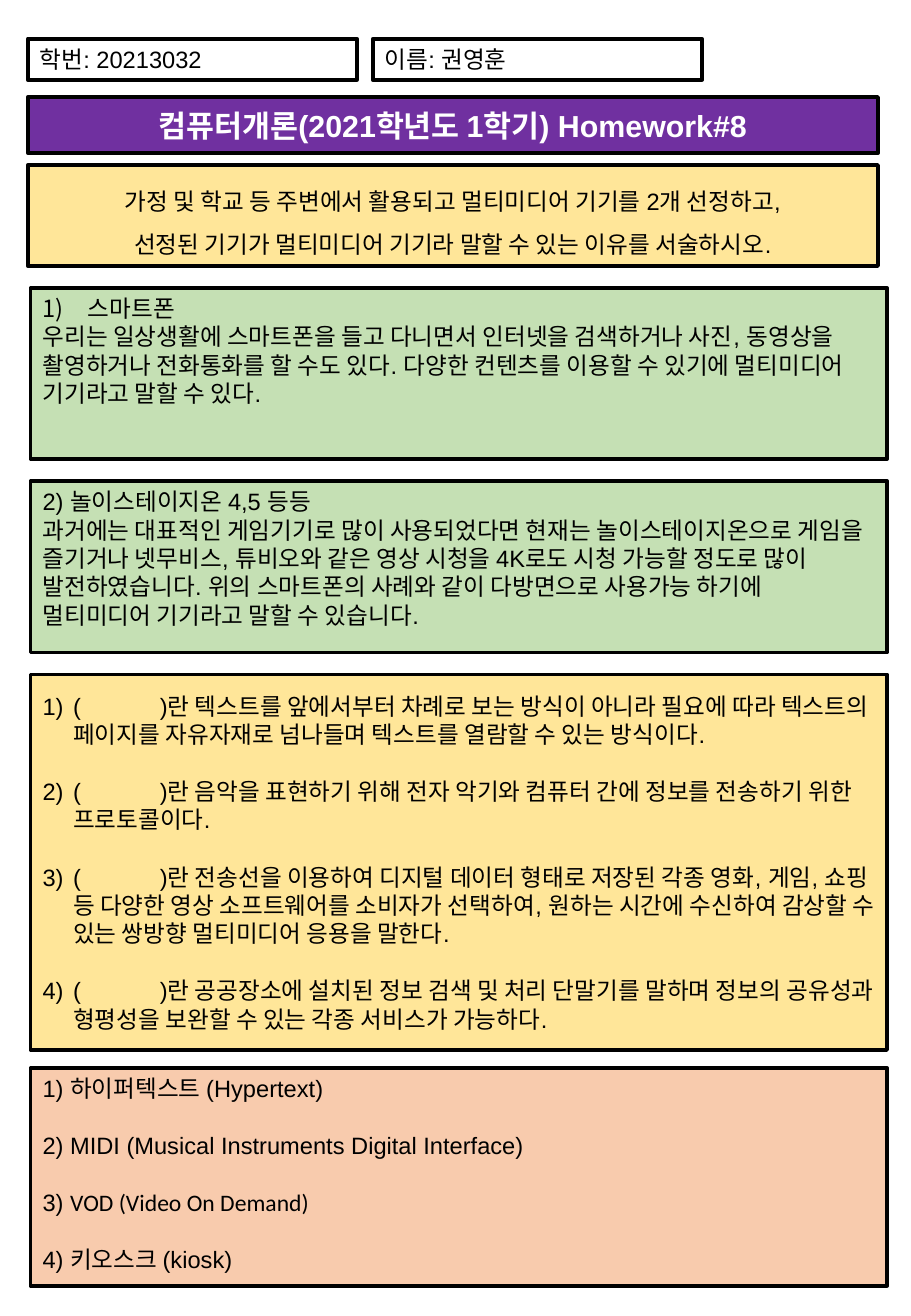
from dataclasses import dataclass

import pptx
import pptx.dml.color
import pptx.enum.shapes
import pptx.enum.text
import pptx.oxml.ns
import pptx.util
from lxml import etree

Cm, Pt = pptx.util.Cm, pptx.util.Pt
ALIGN = pptx.enum.text.PP_ALIGN
ANCHOR = pptx.enum.text.MSO_ANCHOR


@dataclass(frozen=True)
class Theme:
    ink: str = "000000"
    paper: str = "FFFFFF"
    banner: str = "7030A0"
    question: str = "FFE699"
    essay: str = "C5E0B4"
    answer: str = "F8CBAD"
    font: str = "Arial"
    alternate_font: str = "Calibri"
    title_size: float = 18
    body_size: float = 14
    border: float = 2.25
    paragraph_gap: float = 17
    blank_width: float = 42.8


THEME = Theme()
BLANK = " "
BREAK = "\n"


def rgb(code):
    return pptx.dml.color.RGBColor.from_string(code)


def number_paragraph(paragraph, indent):
    """Give the paragraph an automatic 1) number with a hanging indent."""
    properties = paragraph._p.get_or_add_pPr()
    properties.set("marL", str(indent))
    properties.set("indent", str(-indent))
    bullet_font = etree.SubElement(properties, pptx.oxml.ns.qn("a:buFont"))
    bullet_font.set("typeface", THEME.font)
    numbering = etree.SubElement(properties, pptx.oxml.ns.qn("a:buAutoNum"))
    numbering.set("type", "arabicParenR")


def write(frame, pieces, *, first=False, size=THEME.body_size, color=THEME.ink,
          bold=False, align=ALIGN.LEFT, number_indent=None, before=0,
          line_spacing=None, fonts=(THEME.font,)):
    """Add one paragraph; a lone space is a fill-in blank, fonts follow the pieces."""
    paragraph = frame.paragraphs[0] if first else frame.add_paragraph()
    if number_indent is not None:
        number_paragraph(paragraph, number_indent)
    paragraph.alignment = align
    if before and not first:
        paragraph.space_before = Pt(before)
    if line_spacing:
        paragraph.line_spacing = line_spacing
    for index, piece in enumerate(pieces):
        if piece == BREAK:
            paragraph.add_line_break()
            continue
        run = paragraph.add_run()
        run.text = piece
        run.font.size = Pt(size)
        run.font.bold = bold
        run.font.name = fonts[min(index, len(fonts) - 1)]
        run.font.color.rgb = rgb(color)
        if piece == BLANK:
            run._r.get_or_add_rPr().set("spc", str(round(THEME.blank_width * 100)))


def style_panel(panel, fill, anchor):
    """Frame and fill the panel, and return its text frame."""
    if fill:
        panel.fill.solid()
        panel.fill.fore_color.rgb = rgb(fill)
    else:
        panel.fill.background()
    panel.line.color.rgb = rgb(THEME.ink)
    panel.line.width = Pt(THEME.border)
    frame = panel.text_frame
    frame.word_wrap = True
    frame.auto_size = pptx.enum.text.MSO_AUTO_SIZE.NONE
    frame.vertical_anchor = anchor
    return frame


def add_panel(slide, box, fill=None, anchor=ANCHOR.TOP):
    panel = slide.shapes.add_shape(pptx.enum.shapes.MSO_SHAPE.RECTANGLE, *box)
    panel.shadow.inherit = False
    return style_panel(panel, fill, anchor)


def add_student(slide, box):
    left, top, width, height = box
    gap = Cm(0.33)
    field_width = (width - gap) // 2
    for column, entry in enumerate(("학번: 20213032", "이름: 권영훈")):
        field = (left + column * (field_width + gap), top, field_width, height)
        write(add_panel(slide, field), [entry], first=True)


def add_banner(slide, box):
    title = slide.shapes.title
    title.left, title.top, title.width, title.height = box
    frame = style_panel(title, THEME.banner, ANCHOR.MIDDLE)
    write(frame, ["컴퓨터개론(2021학년도 1학기) Homework#8"], first=True,
          size=THEME.title_size, color=THEME.paper, bold=True, align=ALIGN.CENTER)


def add_assignment(slide, box):
    frame = add_panel(slide, box, THEME.question, ANCHOR.MIDDLE)
    write(frame, ["가정 및 학교 등 주변에서 활용되고 멀티미디어 기기를 2개 선정하고,", BREAK,
                  "선정된 기기가 멀티미디어 기기라 말할 수 있는 이유를 서술하시오."],
          first=True, align=ALIGN.CENTER, line_spacing=1.5)


def add_essay(slide, box, device, reason, number_indent=None):
    frame = add_panel(slide, box, THEME.essay)
    write(frame, [device], first=True, number_indent=number_indent)
    write(frame, [reason])


def add_questions(slide, box):
    definitions = (
        "텍스트를 앞에서부터 차례로 보는 방식이 아니라 필요에 따라 텍스트의 페이지를 "
        "자유자재로 넘나들며 텍스트를 열람할 수 있는 방식이다.",
        "음악을 표현하기 위해 전자 악기와 컴퓨터 간에 정보를 전송하기 위한 프로토콜이다.",
        "전송선을 이용하여 디지털 데이터 형태로 저장된 각종 영화, 게임, 쇼핑 등 다양한 영상 "
        "소프트웨어를 소비자가 선택하여, 원하는 시간에 수신하여 감상할 수 있는 쌍방향 "
        "멀티미디어 응용을 말한다.",
        "공공장소에 설치된 정보 검색 및 처리 단말기를 말하며 정보의 공유성과 형평성을 "
        "보완할 수 있는 각종 서비스가 가능하다.",
    )
    frame = add_panel(slide, box, THEME.question, ANCHOR.MIDDLE)
    for index, definition in enumerate(definitions):
        write(frame, ["(", BLANK, ")란 " + definition], first=index == 0,
              number_indent=Cm(0.64), before=THEME.paragraph_gap)


def add_answers(slide, box):
    answers = (
        ["1) 하이퍼텍스트 (Hypertext)"],
        ["2) MIDI (Musical Instruments Digital Interface)"],
        ["3) ", "VOD (Video On Demand)"],
        ["4) 키오스크 (kiosk)"],
    )
    frame = add_panel(slide, box, THEME.answer)
    for index, answer in enumerate(answers):
        write(frame, answer, first=index == 0, before=THEME.paragraph_gap,
              fonts=(THEME.font, THEME.alternate_font))


def build_homework(slide):
    head_left, head_width = Cm(0.58), Cm(17.78)
    body_left, body_width = Cm(0.64), Cm(17.91)
    add_student(slide, (head_left, Cm(0.81), Cm(14.1), Cm(0.86)))
    add_banner(slide, (head_left, Cm(2.03), head_width, Cm(1.17)))
    add_assignment(slide, (head_left, Cm(3.45), head_width, Cm(2.11)))
    add_essay(
        slide, (body_left, Cm(6.02), body_width, Cm(3.58)), "스마트폰",
        "우리는 일상생활에 스마트폰을 들고 다니면서 인터넷을 검색하거나 사진, 동영상을 "
        "촬영하거나 전화통화를 할 수도 있다. 다양한 컨텐츠를 이용할 수 있기에 멀티미디어 "
        "기기라고 말할 수 있다.", number_indent=Cm(0.95))
    add_essay(
        slide, (body_left, Cm(10.06), body_width, Cm(3.58)), "2) 놀이스테이지온 4,5 등등",
        "과거에는 대표적인 게임기기로 많이 사용되었다면 현재는 놀이스테이지온으로 게임을 "
        "즐기거나 넷무비스, 튜비오와 같은 영상 시청을 4K로도 시청 가능할 정도로 많이 "
        "발전하였습니다. 위의 스마트폰의 사례와 같이 다방면으로 사용가능 하기에 "
        "멀티미디어 기기라고 말할 수 있습니다.")
    add_questions(slide, (body_left, Cm(14.1), body_width, Cm(7.85)))
    add_answers(slide, (body_left, Cm(22.33), body_width, Cm(4.55)))


def main():
    deck = pptx.Presentation()
    deck.slide_width, deck.slide_height = Cm(19.05), Cm(27.51)
    title_only = deck.slide_layouts.get_by_name("Title Only")
    build_homework(deck.slides.add_slide(title_only))
    deck.save("out.pptx")


if __name__ == "__main__":
    main()
